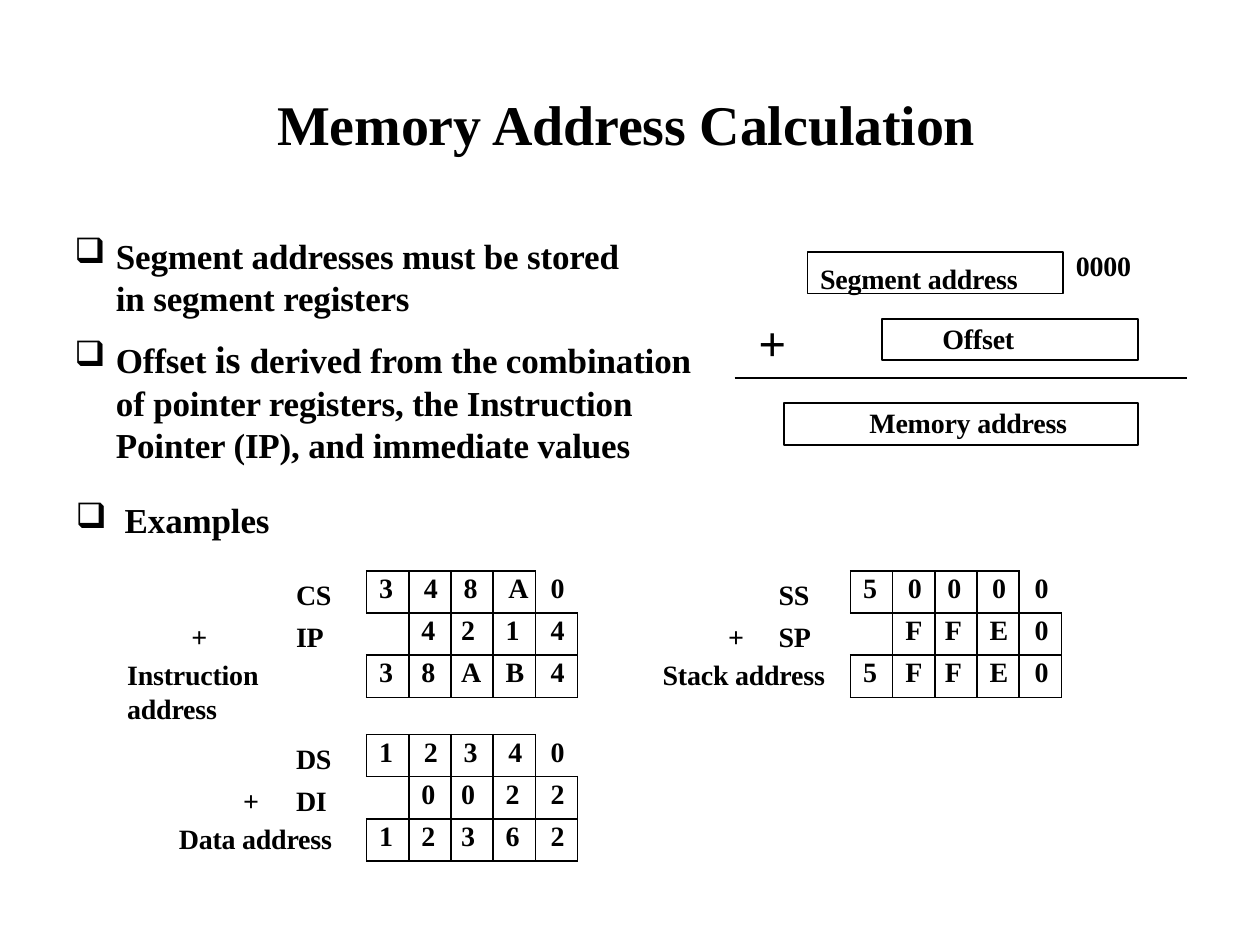
"""Build the Memory Address Calculation slide."""
from dataclasses import dataclass

from lxml.etree import SubElement
from pptx import Presentation
from pptx.dml.color import RGBColor
from pptx.enum.shapes import MSO_CONNECTOR as Connector, MSO_SHAPE as ShapeKind
from pptx.enum.text import MSO_ANCHOR as Anchor, MSO_AUTO_SIZE as AutoSize, PP_ALIGN as Align
from pptx.oxml.ns import qn
from pptx.util import Inches, Pt

COLORS = {"ink": "000000"}
FONT = "Times New Roman"
BULLET = "❑"
CELL = 0.335
PLUS_TAB = 0.33
TOP_ROW_INDENTS = (0.1, 0.12, 0.1, 0.12)
LOWER_ROW_INDENTS = (0.1, 0.1, 0.08, 0.1)


@dataclass(frozen=True)
class Box:
    left: float
    top: float
    width: float
    height: float

    def lengths(self) -> tuple:
        return tuple(Inches(v) for v in (self.left, self.top, self.width, self.height))


@dataclass(frozen=True)
class AddressField:
    text: str
    box: Box
    indent: float
    inset: float = 0.02


@dataclass(frozen=True)
class Example:
    rows: tuple
    left: float
    top: float
    registers: str
    result: str
    label_left: float
    register_left: float


FIELDS = (
    AddressField("Segment address", Box(6.41, 2, 2.03, 0.33), 0.1, 0.08),
    AddressField("Offset", Box(7, 2.53, 2.03, 0.33), 0.48),
    AddressField("Memory address", Box(6.22, 3.2, 2.81, 0.33), 0.68),
)

EXAMPLES = (
    Example(("348A0", " 4214", "38AB4"), 2.91, 4.53,
            "CS\vIP\t+", "Instruction\vaddress", 1, 2.35),
    Example(("50000", " FFE0", "5FFE0"), 6.75, 4.53,
            "SS\vSP\t+", "Stack address", 5.25, 6.18),
    Example(("12340", " 0022", "12362"), 2.91, 5.83,
            "DS\vDI\t+", "Data address", 1.41, 2.35),
)


def ink() -> RGBColor:
    return RGBColor.from_string(COLORS["ink"])


def style_run(run, size: float) -> None:
    font = run.font
    font.name, font.size, font.bold = FONT, Pt(size), True
    font.color.rgb = ink()
    run._r.get_or_add_rPr().set("spc", "-10")


def style_paragraph(paragraph, size: float, indent: float = 0, hanging: float = 0) -> None:
    properties = paragraph._p.get_or_add_pPr()
    properties.set("marL", str(Inches(indent)))
    properties.set("indent", str(-Inches(hanging)))
    for run in paragraph.runs:
        style_run(run, size)


def add_bullet(paragraph) -> None:
    SubElement(paragraph._p.get_or_add_pPr(), qn("a:buChar"), char=BULLET)


def add_tab(paragraph, position: float) -> None:
    tabs = SubElement(paragraph._p.get_or_add_pPr(), qn("a:tabLst"))
    SubElement(tabs, qn("a:tab"), pos=str(Inches(position)), algn="l")


def set_frame(frame, inset: float = 0.02) -> None:
    frame.word_wrap = True
    frame.auto_size = AutoSize.NONE
    frame.vertical_anchor = Anchor.TOP
    frame.margin_left = frame.margin_right = frame.margin_bottom = 0
    frame.margin_top = Inches(inset)


def add_text(slide, text: str, box: Box, size: float, indent: float = 0, hanging: float = 0):
    frame = slide.shapes.add_textbox(*box.lengths()).text_frame
    set_frame(frame)
    frame.text = text
    style_paragraph(frame.paragraphs[0], size, indent, hanging)
    return frame


def add_title(slide, text: str, box: Box) -> None:
    title = slide.shapes.title
    title.left, title.top, title.width, title.height = box.lengths()
    set_frame(title.text_frame)
    title.text_frame.text = text
    paragraph = title.text_frame.paragraphs[0]
    paragraph.alignment = Align.LEFT
    style_paragraph(paragraph, 32)


def add_rules(slide) -> None:
    frame = add_text(slide, "Segment addresses must be stored\vin segment registers",
                     Box(0.59, 1.84, 4.98, 1.86), 20, 0.33, 0.33)
    add_bullet(frame.paragraphs[0])
    offset = frame.add_paragraph()
    offset.space_before = Pt(9.6)
    add_bullet(offset)
    for text in ("Offset ", "is ", "derived from the combination of pointer registers, "
                 "the Instruction Pointer (IP), and immediate values"):
        offset.add_run().text = text
    style_paragraph(offset, 20, 0.33, 0.33)
    offset.runs[1].font.size = Pt(22)
    examples = add_text(slide, "Examples", Box(0.59, 3.94, 1.57, 0.36), 20, 0.4, 0.39)
    add_bullet(examples.paragraphs[0])


def add_field(slide, field: AddressField) -> None:
    shape = slide.shapes.add_shape(ShapeKind.RECTANGLE, *field.box.lengths())
    shape.shadow.inherit = False
    shape.fill.background()
    shape.line.color.rgb = ink()
    shape.line.width = Pt(1)
    frame = shape.text_frame
    set_frame(frame, field.inset)
    frame.text = field.text
    frame.paragraphs[0].alignment = Align.LEFT
    style_paragraph(frame.paragraphs[0], 16, field.indent)


def add_sum_line(slide) -> None:
    line = slide.shapes.add_connector(Connector.STRAIGHT, Inches(5.83), Inches(3),
                                      Inches(9.42), Inches(3))
    line.line.color.rgb = ink()
    line.line.width = Pt(1)
    SubElement(line._element.spPr, qn("a:effectLst"))


def set_borders(cell, hidden: str) -> None:
    properties = cell._tc.get_or_add_tcPr()
    for side in "LRTB":
        border = SubElement(properties, qn(f"a:ln{side}"), w=str(Pt(1)))
        if side in hidden:
            SubElement(border, qn("a:noFill"))
        else:
            fill = SubElement(border, qn("a:solidFill"))
            SubElement(fill, qn("a:srgbClr"), val=COLORS["ink"])
    cell.fill.background()


def add_digits(slide, example: Example) -> None:
    box = Box(example.left, example.top, 5 * CELL, 3 * CELL)
    table = slide.shapes.add_table(3, 5, *box.lengths()).table
    table.first_row = table.horz_banding = False
    hidden_sides = {(0, 4): "TR", (1, 0): "L"}
    for row, digits in enumerate(example.rows):
        indents = LOWER_ROW_INDENTS if row else TOP_ROW_INDENTS
        for column, digit in enumerate(digits):
            cell = table.cell(row, column)
            cell.margin_left = cell.margin_right = cell.margin_bottom = 0
            cell.margin_top = Inches(0.02)
            set_borders(cell, hidden_sides.get((row, column), ""))
            cell.text_frame.text = digit.strip()
            paragraph = cell.text_frame.paragraphs[0]
            if column == 4:
                paragraph.alignment = Align.CENTER
            style_paragraph(paragraph, 16, indents[column] if column < 4 else 0.02)


def add_labels(slide, example: Example) -> None:
    indent = example.register_left - example.label_left
    box = Box(example.label_left, example.top - 0.03, example.left - example.label_left - 0.04, 0.99)
    frame = add_text(slide, example.registers, box, 16, indent)
    registers = frame.paragraphs[0]
    registers.line_spacing = 1.25
    add_tab(registers, indent + PLUS_TAB)
    result = frame.add_paragraph()
    result.text = example.result
    result.space_before = Pt(2.3)
    style_paragraph(result, 16, 0.01)


def main() -> None:
    presentation = Presentation()
    presentation.slide_width, presentation.slide_height = Inches(10), Inches(7.5)
    slide = presentation.slides.add_slide(presentation.slide_layouts[5])
    add_title(slide, "Memory Address Calculation", Box(2.2, 0.69, 5.6, 0.56))
    add_rules(slide)
    add_text(slide, "0000", Box(8.53, 1.95, 0.47, 0.3), 16, 0.01)
    add_text(slide, "+", Box(6.01, 2.46, 0.25, 0.5), 28, 0.01)
    add_sum_line(slide)
    for field in FIELDS:
        add_field(slide, field)
    for example in EXAMPLES:
        add_digits(slide, example)
        add_labels(slide, example)
    presentation.save("out.pptx")


if __name__ == "__main__":
    main()
